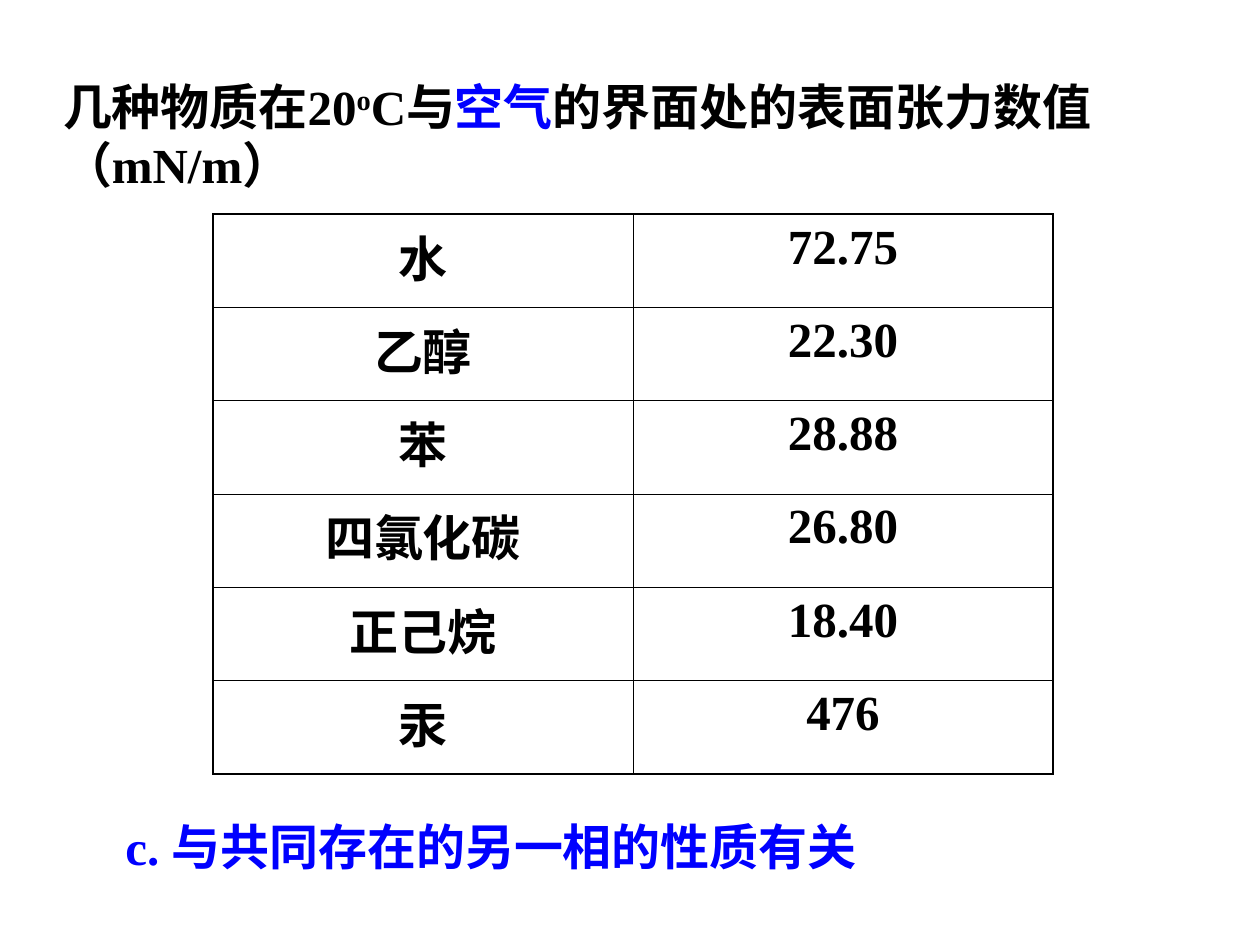
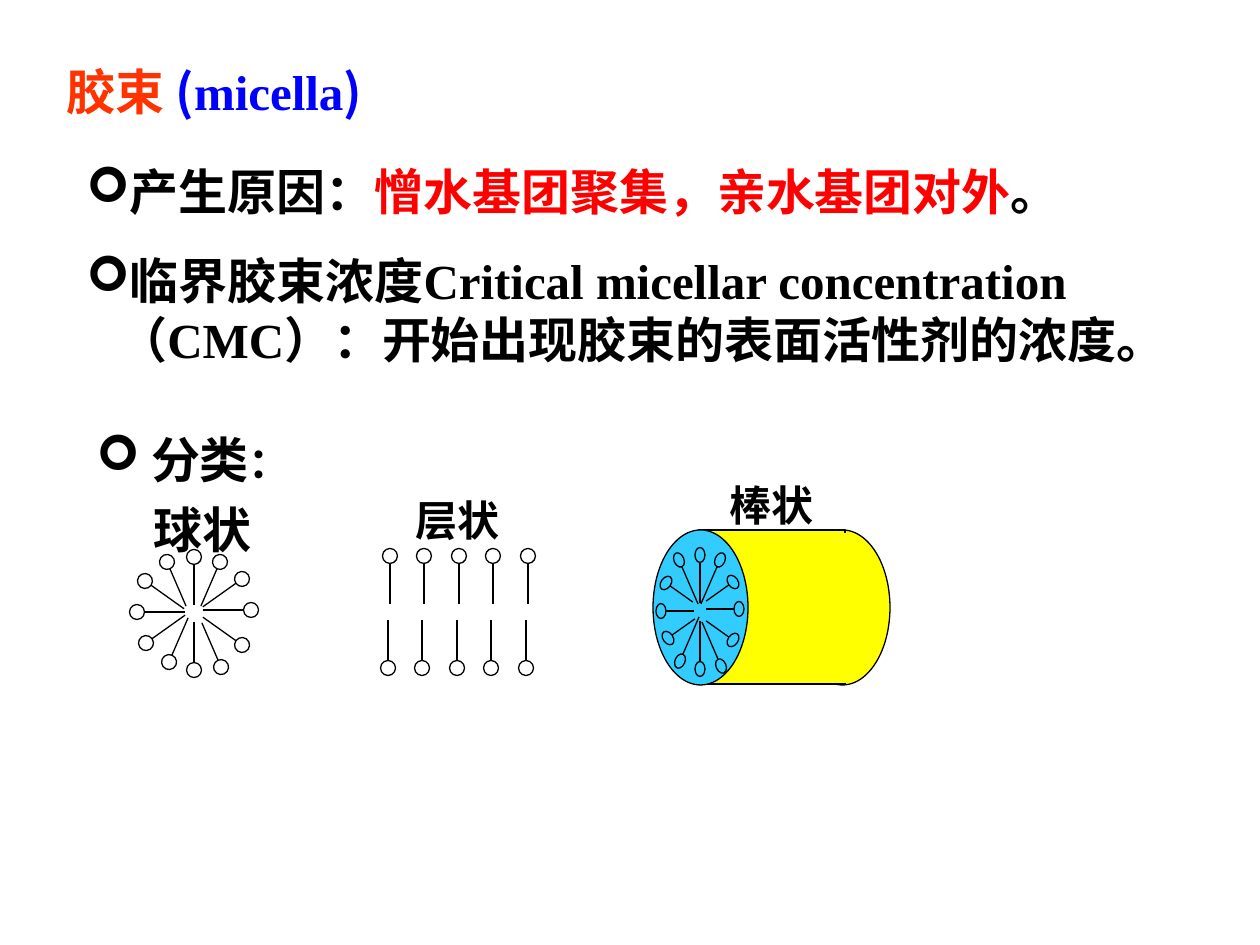
from math import sin, cos, radians
from lxml import etree
from pptx import Presentation, util as u
from pptx.dml.color import RGBColor
from pptx.enum import shapes as sh, text as tx
from pptx.oxml.ns import qn

BLACK = RGBColor(0, 0, 0)
BLUE = RGBColor(0, 0, 255)
RED = RGBColor(255, 0, 0)
ORANGE = RGBColor(255, 51, 0)
YELLOW = RGBColor(255, 255, 0)
SKY = RGBColor(51, 204, 255)
TIMES = "Times New Roman"
NOTO = "Noto Sans CJK SC"
THICK, THIN = 1.08, 0.45

HEAD = [[
    ("几种物质在20", {}), ("o", {"base": 30000}), ("C与", {}),
    ("空气", {"color": BLUE}), ("的界面处的表面张力数值（mN/m）", {}),
]]
DATA = [("水", "72.75"), ("乙醇", "22.30"), ("苯", "28.88"),
        ("四氯化碳", "26.80"), ("正己烷", "18.40"), ("汞", "476")]
NOTE = [[("c. 与共同存在的另一相的性质有关", {"color": BLUE})]]

TOPIC = [[
    ("胶束 ", {"color": ORANGE}), ("(", {"color": BLUE}),
    ("micella", {"color": BLUE, "font": TIMES}), (")", {"color": BLUE}),
]]
POINTS = [
    [("产生原因：", {}), ("憎水基团聚集，亲水基团对外", {"color": RED}), ("。", {})],
    [("临界胶束浓度", {}), ("Critical micellar concentration ", {"font": TIMES}),
     ("（", {}), ("CMC", {"font": TIMES}),
     ("）：开始出现胶束的表面活性剂的浓度。", {})],
]
KINDS = [[(" 分类", {}), ("：", {"size": 24})]]
LABELS = [("球状", 28, (141, 493, 151, 72)), ("层状", 24, (403, 488, 130, 63)),
          ("棒状", 24, (717, 473, 130, 63))]

BALL = [(0, 194, 557), (23.4, 220, 562), (54.6, 242, 579), (90, 251, 610),
        (125.4, 242, 645), (156.6, 221, 667), (180, 194, 670), (203.4, 169, 662),
        (234.6, 146, 643), (270, 137, 612), (305.4, 145, 581), (336.6, 167, 562)]
ROD = [(0, 700, 555), (23.4, 720, 560), (54.6, 733, 582), (90, 739, 609),
       (125.4, 733, 640), (156.6, 721, 666), (180, 700, 669), (203.4, 680, 661),
       (234.6, 668, 638), (270, 661, 611), (305.4, 666, 583), (336.6, 679, 560)]
SHEET = [(turn, left + i * 69 // 2, y)
         for turn, left, y in ((180, 388, 668), (0, 390, 556)) for i in range(5)]
OVAL, RECT = sh.MSO_SHAPE.OVAL, sh.MSO_SHAPE.RECTANGLE
DRUM = [(OVAL, YELLOW, (795, 530, 95, 155), True),
        (RECT, YELLOW, (699, 530, 146, 154), True),
        (OVAL, SKY, (653, 530, 95, 155), True),
        (RECT, YELLOW, (833, 533, 15, 150), False)]


def px(n):
    return u.Emu(round(n * 914400 / 126))


def box(nums):
    return [px(n) for n in nums]


def write(frame, paras, font=TIMES, size=28, color=BLACK, align=tx.PP_ALIGN.LEFT,
          gap=0, bullet=None):
    frame.word_wrap = True
    for i, runs in enumerate(paras):
        para = frame.add_paragraph() if i else frame.paragraphs[0]
        if bullet:
            props = para._p.get_or_add_pPr()
            props.set("marL", str(px(32)))
            props.set("indent", str(-px(32)))
            etree.SubElement(props, qn("a:buFont"), typeface="Wingdings")
            etree.SubElement(props, qn("a:buChar"), char=bullet)
        para.alignment = align
        if i:
            para.space_before = u.Pt(gap)
        for words, look in runs:
            run = para.add_run()
            run.text = words
            face = run.font
            face.name = look.get("font", font)
            face.size = u.Pt(look.get("size", size))
            face.bold = True
            face.color.rgb = look.get("color", color)
            props = run._r.get_or_add_rPr()
            etree.SubElement(props, qn("a:ea"), typeface=NOTO)
            if "base" in look:
                props.set("baseline", str(look["base"]))


def note(slide, place, paras, **look):
    write(slide.shapes.add_textbox(*box(place)).text_frame, paras, **look)


def title(slide, place, paras, pad, **look):
    shape = slide.shapes.title
    shape.left, shape.top, shape.width, shape.height = box(place)
    frame = shape.text_frame
    frame.auto_size = tx.MSO_AUTO_SIZE.NONE
    frame.vertical_anchor = tx.MSO_ANCHOR.TOP
    frame.margin_left = frame.margin_right = u.Inches(2 * pad)
    frame.margin_top = frame.margin_bottom = u.Inches(pad)
    write(frame, paras, **look)


def edge(cell, sides):
    props = cell._tc.get_or_add_tcPr()
    for side, width in sides:
        line = etree.SubElement(props, qn("a:ln" + side), w=str(u.Pt(width)))
        fill = etree.SubElement(line, qn("a:solidFill"))
        etree.SubElement(fill, qn("a:srgbClr"), val=str(BLACK))


def grid(slide, place, data):
    rows, cols = len(data), len(data[0])
    table = slide.shapes.add_table(rows, cols, *box(place)).table
    table.first_row = table.horz_banding = False
    for row in table.rows:
        row.height = px(place[3] / rows)
    for r, line in enumerate(data):
        for c, words in enumerate(line):
            cell = table.cell(r, c)
            ends = (("L", c == 0), ("R", c == cols - 1),
                    ("T", r == 0), ("B", r == rows - 1))
            edge(cell, [(side, THICK if end else THIN) for side, end in ends])
            cell.fill.background()
            write(cell.text_frame, [[(words, {})]], align=tx.PP_ALIGN.CENTER)


def draw(slide, kind, place, fill=None, line=True):
    shape = slide.shapes.add_shape(kind, *box(place))
    shape.shadow.inherit = False
    if fill is None:
        shape.fill.background()
    else:
        shape.fill.solid()
        shape.fill.fore_color.rgb = fill
    if line:
        shape.line.color.rgb = BLACK
        shape.line.width = u.Pt(0.75)
    else:
        shape.line.fill.background()
    return shape


def tails(slide, heads, slim=False):
    for turn, x, y in heads:
        dx, dy = -sin(radians(turn)), cos(radians(turn))
        flat = slim and abs(dx) > 0.7
        wide, high = (15, 10) if flat else (10, 15) if slim else (15, 15)
        head = draw(slide, sh.MSO_SHAPE.FLOWCHART_CONNECTOR,
                    (x - wide / 2, y - high / 2, wide, high))
        head.rotation = turn
        near, far = (5, 33) if flat else (7, 48)
        ends = [x + near * dx, y + near * dy, x + far * dx, y + far * dy]
        tail = slide.shapes.add_connector(sh.MSO_CONNECTOR.STRAIGHT, *box(ends))
        tail.line.color.rgb = BLACK
        tail.line.width = u.Pt(0.75)
        etree.SubElement(tail._element.spPr, qn("a:effectLst"))


def main():
    deck = Presentation()
    deck.slide_width, deck.slide_height = px(1260), px(945)
    plain = deck.slide_layouts[5]

    first = deck.slides.add_slide(plain)
    title(first, (63, 76, 1163, 117), HEAD, 0)
    grid(first, (213, 214, 840, 560), DATA)
    note(first, (113, 810, 912, 72), NOTE)

    second = deck.slides.add_slide(plain)
    title(second, (54, 55, 1101, 72), TOPIC, 0.05, font=NOTO)
    note(second, (74, 155, 1152, 220), POINTS, font=NOTO, gap=17.5, bullet="➢")
    tails(second, SHEET)
    tails(second, BALL)
    for kind, fill, place, line in DRUM:
        draw(second, kind, place, fill, line)
    tails(second, ROD, slim=True)
    note(second, (84, 423, 460, 72), KINDS, font=NOTO, bullet="➢")
    for words, size, place in LABELS:
        note(second, place, [[(words, {})]], size=size)
    deck.save("out.pptx")


if __name__ == "__main__":
    main()
